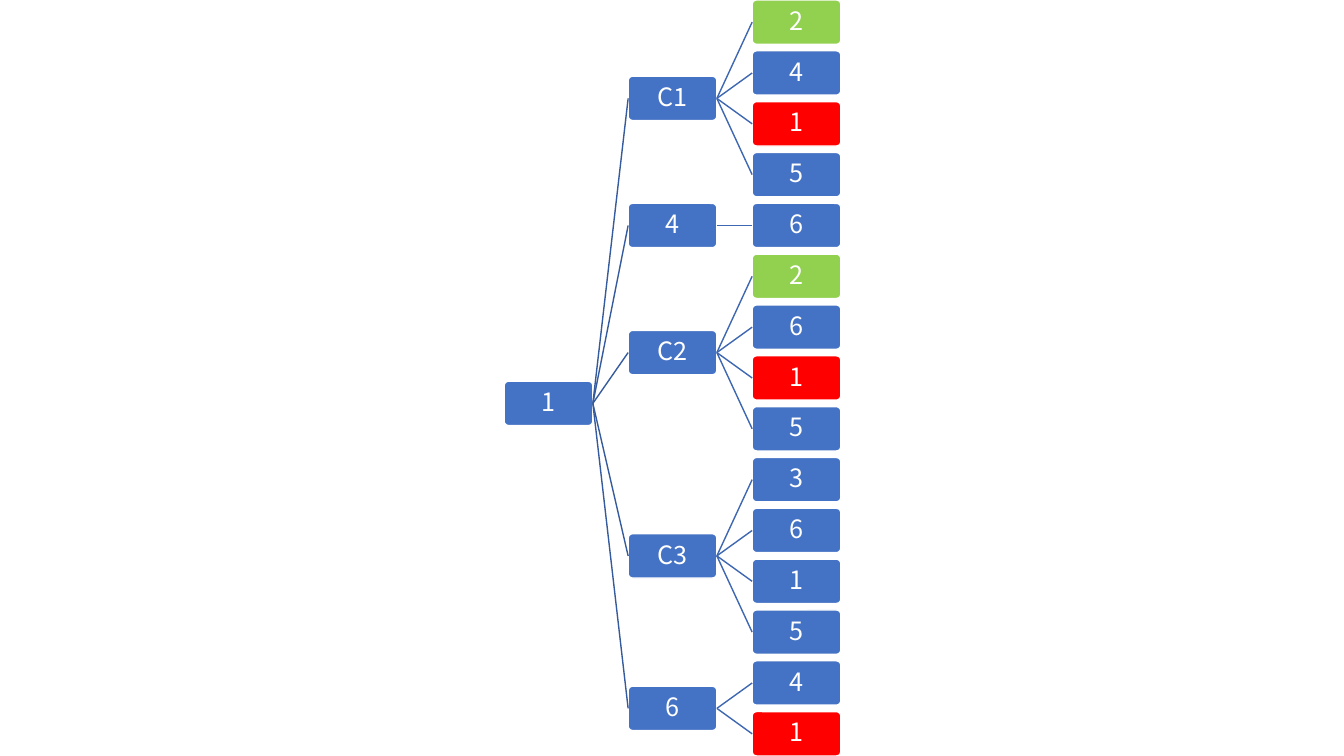
from lxml import etree
from pptx import Presentation
from pptx.dml.color import RGBColor
from pptx.enum.shapes import MSO_CONNECTOR, MSO_SHAPE
from pptx.enum.text import MSO_ANCHOR, PP_ALIGN
from pptx.oxml.ns import qn
from pptx.util import Inches, Pt

BLUE, GREEN, RED, WHITE = "4472C4", "92D050", "FF0000", "FFFFFF"
ROOT_LINE, BRANCH_LINE = "365B9D", "3E67B2"
NODE_W, NODE_H = 0.88, 0.44
ROOT_X, BRANCH_X, LEAF_X = 5, 6.23, 7.46
ROW_PITCH = (7.5 - NODE_H) / 14  # 15 leaves fill the slide height
LEFT_SITE, RIGHT_SITE = 1, 3

TREE = [
    ("C1", [("2", GREEN), ("4", BLUE), ("1", RED), ("5", BLUE)]),
    ("4", [("6", BLUE)]),
    ("C2", [("2", GREEN), ("6", BLUE), ("1", RED), ("5", BLUE)]),
    ("C3", [("3", BLUE), ("6", BLUE), ("1", BLUE), ("5", BLUE)]),
    ("6", [("4", BLUE), ("1", RED)]),
]

prs = Presentation()
prs.slide_width, prs.slide_height = Inches(13.33), Inches(7.5)
slide = prs.slides.add_slide(prs.slide_layouts[6])


def add_node(label, x, row, fill=BLUE):
    node = slide.shapes.add_shape(
        MSO_SHAPE.ROUNDED_RECTANGLE, Inches(x), Inches(row * ROW_PITCH),
        Inches(NODE_W), Inches(NODE_H))
    node.adjustments[0] = 0.1
    node.shadow.inherit = False
    node.fill.solid()
    node.fill.fore_color.rgb = RGBColor.from_string(fill)
    node.line.color.rgb = RGBColor.from_string(WHITE)
    node.line.width = Pt(1)
    frame = node.text_frame
    frame.word_wrap = True
    frame.vertical_anchor = MSO_ANCHOR.MIDDLE
    frame.margin_left = frame.margin_right = Inches(0.01)
    frame.margin_top = frame.margin_bottom = Inches(0.01)
    paragraph = frame.paragraphs[0]
    paragraph.text = label
    paragraph.alignment = PP_ALIGN.CENTER
    paragraph.line_spacing = 0.9
    paragraph.font.size = Pt(18)
    paragraph.font.name = "Noto Sans CJK JP"
    paragraph.font.color.rgb = RGBColor.from_string(WHITE)
    return node


def link(parent, child, color):
    edge = slide.shapes.add_connector(MSO_CONNECTOR.STRAIGHT, 0, 0, 0, 0)
    edge.begin_connect(parent, RIGHT_SITE)
    edge.end_connect(child, LEFT_SITE)
    edge.line.color.rgb = RGBColor.from_string(color)
    edge.line.width = Pt(1)
    etree.SubElement(edge._element.spPr, qn("a:effectLst"))


# Each parent sits midway between its first and last child
branch_rows = []
first_leaf = 0
for _, leaves in TREE:
    branch_rows.append(first_leaf + (len(leaves) - 1) / 2)
    first_leaf += len(leaves)

root = add_node("1", ROOT_X, (branch_rows[0] + branch_rows[-1]) / 2)
leaf_row = 0
for (branch_label, leaves), branch_row in zip(TREE, branch_rows):
    branch = add_node(branch_label, BRANCH_X, branch_row)
    link(root, branch, ROOT_LINE)
    for leaf_label, leaf_fill in leaves:
        leaf = add_node(leaf_label, LEAF_X, leaf_row, leaf_fill)
        link(branch, leaf, BRANCH_LINE)
        leaf_row += 1

prs.save("out.pptx")
